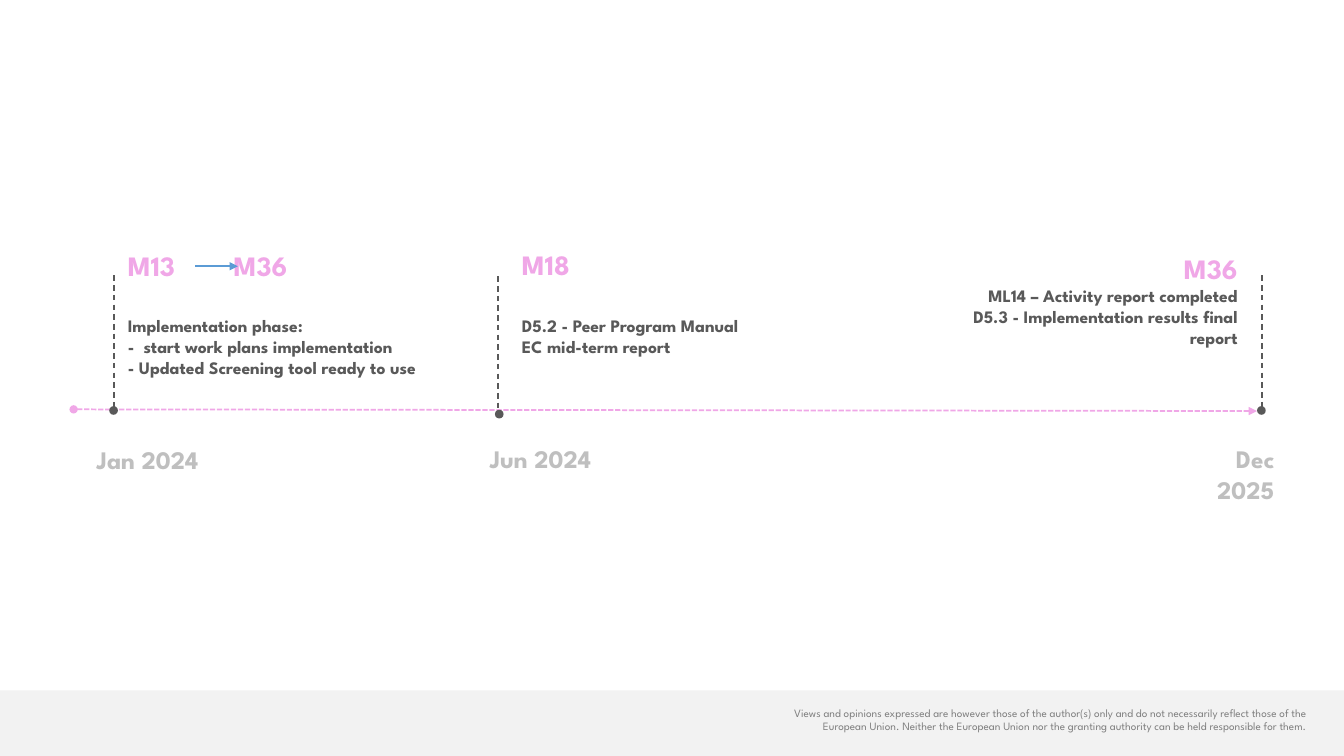
from lxml import etree
from pptx import Presentation
from pptx import util as u
from pptx.dml.color import RGBColor
from pptx.enum import dml, shapes, text
from pptx.oxml.ns import qn

PINK = RGBColor(0xF0, 0xA7, 0xE7)
DARK = RGBColor(0x59, 0x59, 0x59)
SILVER = RGBColor(0xBF, 0xBF, 0xBF)
GREY = RGBColor(0x7F, 0x7F, 0x7F)
PALE = RGBColor(0xF2, 0xF2, 0xF2)
BLUE = RGBColor(0x5B, 0x9B, 0xD5)
FONT = "League Spartan"
LEFT, RIGHT = text.PP_ALIGN.LEFT, text.PP_ALIGN.RIGHT
HEADING_TAB = 75.6


def add_shape(slide, kind, left, top, width, height, color):
    """Add a flat filled shape without outline."""
    shape = slide.shapes.add_shape(kind, u.Pt(left), u.Pt(top), u.Pt(width), u.Pt(height))
    shape.shadow.inherit = False
    shape.fill.solid()
    shape.fill.fore_color.rgb = color
    shape.line.fill.background()


def add_line(slide, start, end, color, width, dash=None, head=None, tail=None):
    """Add a straight line with optional dashes and end marks."""
    points = [u.Pt(value) for value in (*start, *end)]
    connector = slide.shapes.add_connector(shapes.MSO_CONNECTOR.STRAIGHT, *points)
    connector.line.color.rgb = color
    connector.line.width = u.Pt(width)
    if dash:
        connector.line.dash_style = dash
    properties = connector._element.spPr
    for tag, mark in (("a:headEnd", head), ("a:tailEnd", tail)):
        if mark:
            etree.SubElement(properties.find(qn("a:ln")), qn(tag), type=mark)
    etree.SubElement(properties, qn("a:effectLst"))


def add_text(slide, box, lines, align=LEFT, margins=(7.2, 3.6, 7.2, 3.6)):
    """Write (words, size, color, bold) lines into a box and return its paragraphs."""
    frame = slide.shapes.add_textbox(*(u.Pt(value) for value in box)).text_frame
    frame.word_wrap = True
    frame.margin_left, frame.margin_top, frame.margin_right, frame.margin_bottom = (
        u.Pt(value) for value in margins
    )
    for index, (words, size, color, bold) in enumerate(lines):
        paragraph = frame.add_paragraph() if index else frame.paragraphs[0]
        paragraph.text = words
        paragraph.alignment = align
        paragraph.font.name = FONT
        paragraph.font.size = u.Pt(size)
        paragraph.font.bold = bold
        paragraph.font.color.rgb = color
    return frame.paragraphs


def add_marker(slide, x, top, dot_x, dot_y):
    """Add a dashed vertical line ending in a dot on the time axis."""
    add_line(slide, (x, top), (x, top + 97.2), DARK, 1, dml.MSO_LINE.DASH)
    size = 6.2
    add_shape(slide, shapes.MSO_SHAPE.OVAL, dot_x - size / 2, dot_y - size / 2, size, size, DARK)


def add_details(slide, box, heading, details, gap, align):
    """Add a milestone heading with its deliverables below."""
    lines = [(heading, 20, PINK, True)] + [(words, 12.5, DARK, True) for words in details]
    paragraphs = add_text(slide, box, lines, align, (0, 0, 10.08, 0))
    paragraphs[1].space_before = u.Pt(gap)
    if "\t" in heading:
        tabs = etree.Element(qn("a:tabLst"))
        etree.SubElement(tabs, qn("a:tab"), pos=str(u.Pt(HEADING_TAB)), algn="l")
        paragraphs[0]._p.get_or_add_pPr().insert(0, tabs)


def add_timeline(slide, left, top):
    """Draw the axis, its milestones and their dates from the axis start."""
    add_line(slide, (left, top), (left + 845.3, top + 1.2), PINK, 1.25,
             dml.MSO_LINE.SQUARE_DOT, "oval", "triangle")
    milestones = [
        (28.8, -95.7, 28.5, 0.8, (38.7, -115.2, 242.6, 95), "M13\tM36",
         ["Implementation phase:", "-  start work plans implementation",
          "- Updated Screening tool ready to use"], 24, LEFT,
         (9.4, 21.6, 101.5, 28.8), "Jan 2024"),
        (303.1, -95, 304, 3.4, (320.2, -115.6, 242.6, 95), "M18",
         ["D5.2 - Peer Program Manual", "EC mid-term report"], 24, LEFT,
         (290.2, 20.9, 101.5, 28.8), "Jun 2024"),
        (848.9, -95.7, 848.4, 0.8, (606.9, -112.8, 234.7, 95), "M36",
         ["ML14 – Activity report completed", "D5.3 - Implementation results final report"],
         0, RIGHT, (781.2, 20.9, 83.5, 51.1), "Dec 2025"),
    ]
    for x, y, dot_x, dot_y, box, heading, details, gap, align, date_box, date in milestones:
        add_marker(slide, left + x, top + y, left + dot_x, top + dot_y)
        add_details(slide, (left + box[0], top + box[1], *box[2:]), heading, details, gap, align)
        add_text(slide, (left + date_box[0], top + date_box[1], *date_box[2:]),
                 [(date, 18, SILVER, True)], align)
    add_line(slide, (left + 86.8, top - 102.2), (left + 117.4, top - 102.2), BLUE, 1.5,
             tail="triangle")


def add_footer(slide, top, width, height):
    """Draw the grey band with the disclaimer."""
    add_shape(slide, shapes.MSO_SHAPE.RECTANGLE, 0, top, width, height, PALE)
    disclaimer = (
        "Views and opinions expressed are however those of the author(s) only and do not "
        "necessarily reflect those of the European Union. Neither the European Union nor "
        "the granting authority can be held responsible for them."
    )
    add_text(slide, (width - 431.5, top + 7.6, 412.6, 36), [(disclaimer, 8, GREY, False)], RIGHT)


def main():
    """Build and save the slide."""
    presentation = Presentation()
    presentation.slide_width, presentation.slide_height = u.Pt(960), u.Pt(540)
    slide = presentation.slides.add_slide(presentation.slide_layouts[6])
    add_footer(slide, 493.2, 960, 46.8)
    add_timeline(slide, 52.6, 292.4)
    presentation.save("out.pptx")


if __name__ == "__main__":
    main()
